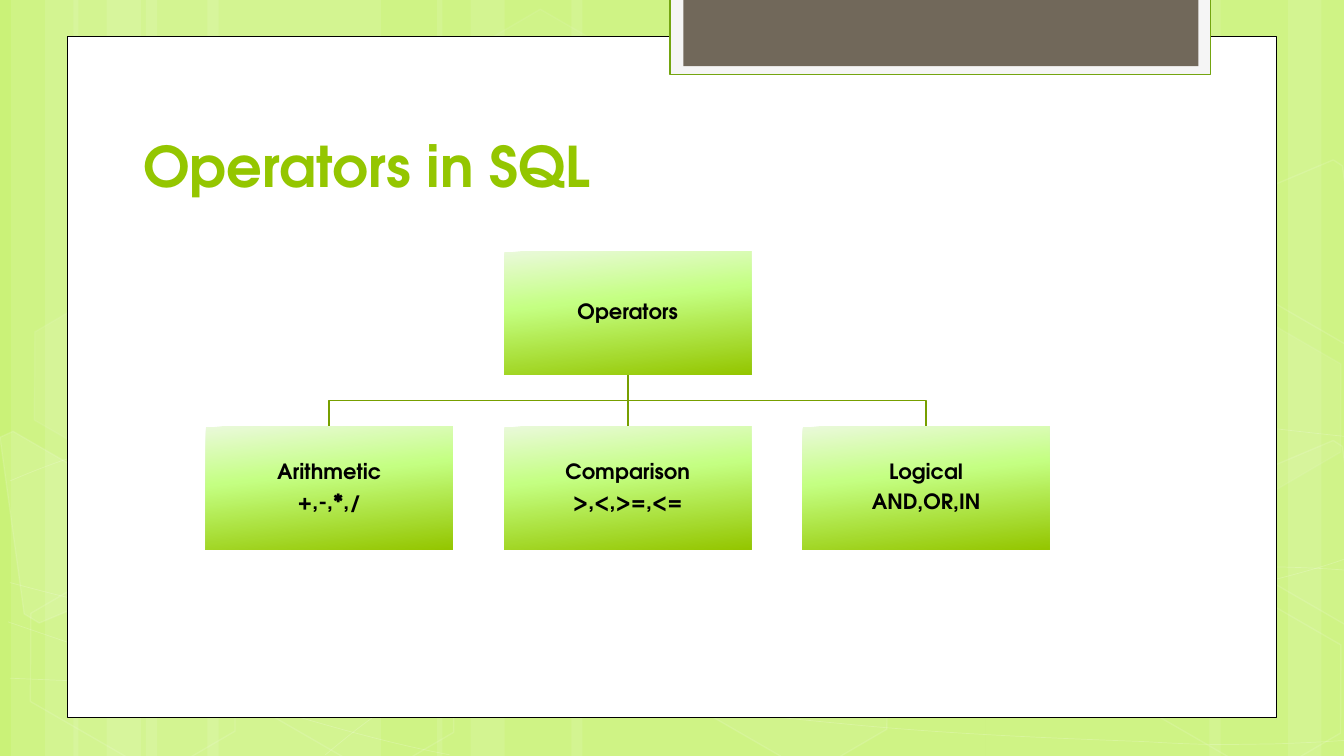
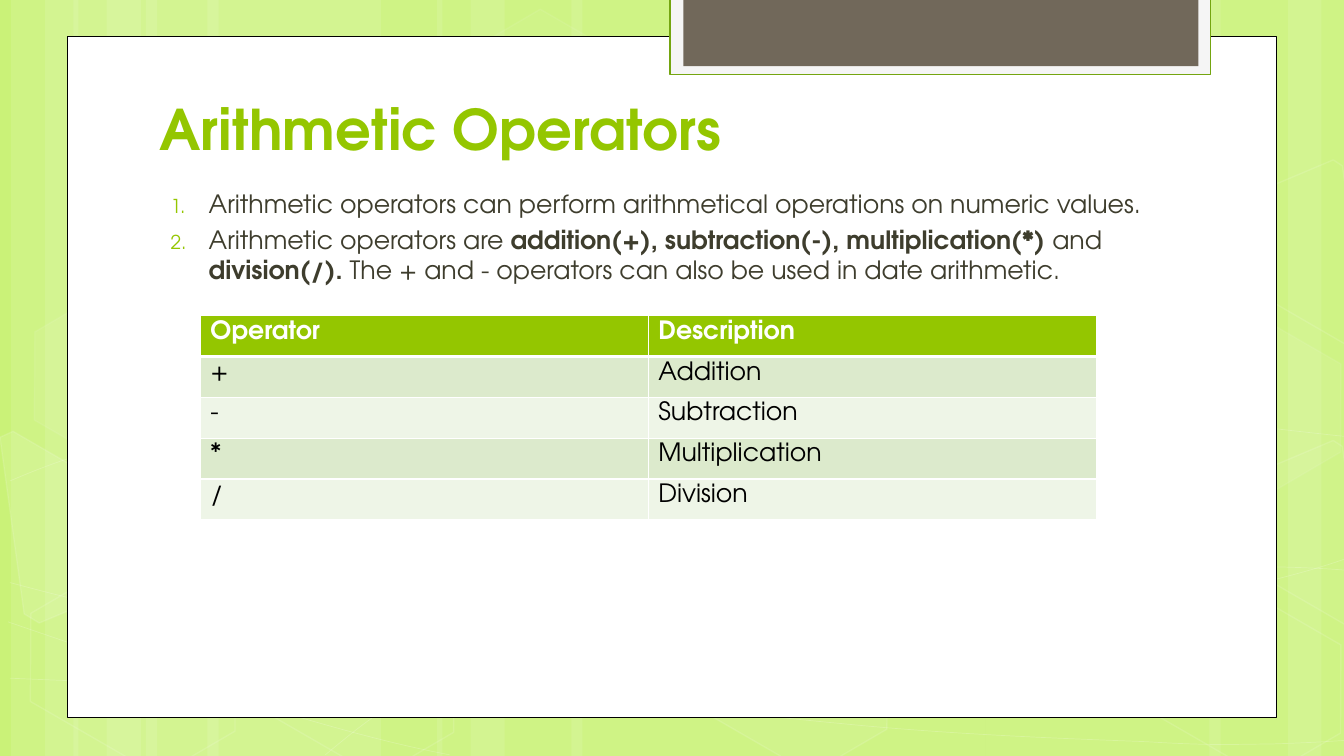
from pptx import Presentation
from pptx.dml.color import RGBColor
from pptx.enum.shapes import MSO_CONNECTOR as Connector, MSO_SHAPE as Preset
from pptx.enum.text import MSO_ANCHOR as Anchor, MSO_AUTO_SIZE as AutoSize, PP_ALIGN as Align
from pptx.oxml import parse_xml
from pptx.oxml.ns import nsdecls, qn
from pptx.util import Cm, Pt
from lxml.etree import SubElement

SLIDE_W, SLIDE_H = 33.87, 19.05
LIME, OLIVE, WHITE, BLACK = "94C600", "779F00", "FFFFFF", "000000"
GRADIENT = [(0, "EAF9DA"), (40, "C4FF82"), (100, LIME)]


def rgb(value):
    """Turn a hex string into a colour."""
    return RGBColor.from_string(value)


def fade(parent, opacity):
    """Set the opacity, in percent, of the colours below an XML element."""
    for color in parent.iter(qn("a:srgbClr")):
        SubElement(color, qn("a:alpha")).set("val", str(opacity * 1000))


def bend_lines(shape):
    """Turn each three line segments of an outline into one cubic curve."""
    lines = shape.element.xpath(".//a:lnTo")
    for first in range(0, len(lines), 3):
        curve = parse_xml(f'<a:cubicBezTo {nsdecls("a")}/>')
        lines[first].addprevious(curve)
        for line in lines[first:first + 3]:
            curve.append(line[0])
            line.getparent().remove(line)


class Deck:
    """Holds the style and the current slide."""

    font = "TeX Gyre Adventor"

    def __init__(self):
        """Start a widescreen presentation."""
        self.prs = Presentation()
        self.prs.slide_width, self.prs.slide_height = Cm(SLIDE_W), Cm(SLIDE_H)
        self.layout = self.prs.slide_layouts.get_by_name("Title Only")
        self.slide = None

    def add_slide(self, title, x, y, w, h):
        """Add a slide and place its title."""
        self.slide = self.prs.slides.add_slide(self.layout)
        heading = self.slide.shapes.title
        heading.left, heading.top, heading.width, heading.height = map(Cm, (x, y, w, h))
        frame = heading.text_frame
        frame.text = title
        frame.auto_size = AutoSize.NONE
        frame.vertical_anchor = Anchor.BOTTOM
        frame.paragraphs[0].alignment = Align.LEFT
        self.style(frame.paragraphs[0], 40, LIME, True)

    def style(self, paragraph, size, color, bold=False):
        """Format every run of a paragraph."""
        for run in paragraph.runs:
            run.font.name, run.font.size, run.font.bold = self.font, Pt(size), bold
            run.font.color.rgb = rgb(color)

    def paint(self, shape, fill=None, line=None, width=1, fill_alpha=100, line_alpha=100):
        """Set fill, outline and opacity, and drop the shadow."""
        shape.shadow.inherit = False
        properties = shape.element.spPr
        if fill:
            shape.fill.solid()
            shape.fill.fore_color.rgb = rgb(fill)
            if fill_alpha < 100:
                fade(properties.find(qn("a:solidFill")), fill_alpha)
        else:
            shape.fill.background()
        if line:
            shape.line.color.rgb = rgb(line)
            shape.line.width = Pt(width)
            if line_alpha < 100:
                fade(properties.find(qn("a:ln")), line_alpha)
        else:
            shape.line.fill.background()

    def preset(self, kind, x, y, w, h, **look):
        """Add a painted preset shape."""
        shape = self.slide.shapes.add_shape(kind, Cm(x), Cm(y), Cm(w), Cm(h))
        self.paint(shape, **look)
        return shape

    def outline(self, points, close=False, **look):
        """Add a painted outline through the points."""
        start, *rest = [(Cm(x), Cm(y)) for x, y in points]
        builder = self.slide.shapes.build_freeform(*start, scale=1.0)
        builder.add_line_segments(rest, close=close)
        shape = builder.convert_to_shape()
        self.paint(shape, **look)
        return shape

    def line(self, x1, y1, x2, y2):
        """Add a straight connector."""
        link = self.slide.shapes.add_connector(
            Connector.STRAIGHT, Cm(x1), Cm(y1), Cm(x2), Cm(y2))
        link.line.color.rgb = rgb(OLIVE)
        link.line.width = Pt(1.25)
        SubElement(link.element.spPr, qn("a:effectLst"))

    def node(self, text, x, y, w, h):
        """Add a gradient box with centred text."""
        box = self.preset(Preset.RECTANGLE, x, y, w, h)
        properties = box.element.spPr
        stops = "".join(f'<a:gs pos="{pos * 1000}"><a:srgbClr val="{color}"/></a:gs>'
                        for pos, color in GRADIENT)
        properties.replace(properties.find(qn("a:noFill")), parse_xml(
            f'<a:gradFill {nsdecls("a")}><a:gsLst>{stops}</a:gsLst>'
            f'<a:lin ang="{84 * 60000}" scaled="0"/></a:gradFill>'))
        frame = box.text_frame
        frame.text = text
        frame.word_wrap = True
        frame.vertical_anchor = Anchor.MIDDLE
        frame.margin_left = frame.margin_right = Cm(0.03)
        frame.margin_top = frame.margin_bottom = Cm(0.03)
        for paragraph in frame.paragraphs:
            paragraph.alignment = Align.CENTER
            paragraph.line_spacing = 0.9
            paragraph.space_after = Pt(5.25)
            self.style(paragraph, 15, BLACK, True)

    def numbered(self, items, x, y, w, h):
        """Add a numbered list; each item is a list of (text, bold) parts."""
        frame = self.slide.shapes.add_textbox(Cm(x), Cm(y), Cm(w), Cm(h)).text_frame
        frame.word_wrap = True
        for index, parts in enumerate(items):
            paragraph = frame.add_paragraph() if index else frame.paragraphs[0]
            for text, bold in parts:
                run = paragraph.add_run()
                run.text = text
            self.style(paragraph, 18, "3E3D2D")
            for run, (text, bold) in zip(paragraph.runs, parts):
                run.font.bold = bold
            paragraph.space_before = Pt(3.6)
            properties = paragraph._p.get_or_add_pPr()
            properties.set("marL", str(Cm(1.14)))
            properties.set("indent", str(Cm(-0.96)))
            color = SubElement(properties, qn("a:buClr"))
            SubElement(color, qn("a:srgbClr")).set("val", LIME)
            SubElement(properties, qn("a:buSzPct")).set("val", "76000")
            SubElement(properties, qn("a:buAutoNum")).set("type", "arabicPeriod")

    def border(self, cell, heavy_bottom):
        """Draw white borders around a cell."""
        properties = cell._tc.get_or_add_tcPr()
        for side in "LRTB":
            width = Pt(3 if heavy_bottom and side == "B" else 1)
            properties.append(parse_xml(
                f'<a:ln{side} {nsdecls("a")} w="{width}"><a:solidFill>'
                f'<a:srgbClr val="{WHITE}"/></a:solidFill></a:ln{side}>'))

    def table(self, rows, x, y, col_w, row_h):
        """Add a table with a lime header and banded rows."""
        columns = len(rows[0])
        grid = self.slide.shapes.add_table(
            len(rows), columns, Cm(x), Cm(y), Cm(col_w * columns), Cm(row_h * len(rows))).table
        for r, row in enumerate(rows):
            header = r == 0
            band = LIME if header else ("EEF5E7", "DCEACC")[r % 2]
            for c, text in enumerate(row):
                cell = grid.cell(r, c)
                cell.text_frame.text = text
                self.border(cell, header)
                cell.fill.solid()
                cell.fill.fore_color.rgb = rgb(band)
                self.style(cell.text_frame.paragraphs[0], 18, WHITE if header else BLACK, header)

    def backdrop(self):
        """Draw the shared scenery and move it to the layout."""
        fill = self.layout.background.fill
        fill.solid()
        fill.fore_color.rgb = rgb("CAF278")
        for x, w in BANDS:
            self.preset(Preset.RECTANGLE, x, 0, w, SLIDE_H, fill=WHITE, fill_alpha=10)
        for points in CURVES:
            bend_lines(self.outline(points, line=WHITE, width=0.5, line_alpha=20))
        for x, y, inside, edge in HEXAGONS:
            hexagon = self.preset(Preset.HEXAGON, x, y, 5.94, 3.86, fill=WHITE if inside else None,
                                  fill_alpha=inside, line=WHITE, line_alpha=edge)
            hexagon.adjustments[0] = 0.285
            hexagon.rotation = 30
        for points, inside in CUT_HEXAGONS:
            self.outline(points, close=True, fill=WHITE if inside else None,
                         fill_alpha=inside, line=WHITE, line_alpha=12)
        self.preset(Preset.RECTANGLE, 1.69, 0.92, 30.48, 17.17, fill=WHITE, line=BLACK, width=0.5)
        self.preset(Preset.RECTANGLE, 16.89, -0.05, 13.62, 1.93,
                    fill="F5F5F5", line="74A510", width=1.25)
        self.preset(Preset.RECTANGLE, 17.22, -0.05, 12.98, 1.72, fill="71685A")
        scenery = [s.element for s in self.slide.shapes if not s.is_placeholder]
        for index, element in enumerate(scenery):
            element.xpath(".//p:cNvPr")[0].set("id", str(100 + index))
            self.layout.shapes.element.insert(2 + index, element)


BANDS = [(3.68, 5.92), (0.28, 1.7), (1.14, 2.82), (5.23, 5.92), (1.85, 1.7), (2.69, 2.82),
         (24.84, 5.92), (32.46, 1.41), (30.48, 2.82), (14.4, 10.44), (11.02, 1.7), (11.86, 2.82)]
CURVES = [
    [(0.25, 17.09),
     (2.08, 17.17), (3.91, 17.25), (6.45, 17.22),
     (8.99, 17.2), (12.12, 17.15), (15.49, 16.89),
     (18.9, 16.64), (23.7, 16.15), (26.8, 15.67),
     (29.92, 15.19), (33.1, 14.43), (34.11, 14)],
    [(0.25, 12.12),
     (1.22, 11.71), (2.18, 11.33), (4.11, 10.95),
     (6.05, 10.57), (8.76, 10.01), (11.76, 9.83),
     (14.78, 9.65), (18.42, 9.63), (22.15, 9.83),
     (25.88, 10.03), (32.08, 10.82), (34.11, 11.02)],
    [(0.2, 15.67),
     (4.29, 17.07), (8.38, 18.47), (11.33, 19.02)],
    [(0.25, 14.68),
     (1.3, 14.96), (2.36, 15.24), (4.34, 15.65),
     (6.3, 16.03), (9.25, 16.66), (12.07, 17.09),
     (14.88, 17.53), (18.47, 17.98), (21.26, 18.24),
     (24.08, 18.52), (27.08, 18.62), (28.88, 18.69),
     (30.66, 18.8), (31.12, 18.75), (32, 18.75),
     (32.87, 18.72), (33.5, 18.69), (34.11, 18.64)],
    [(8.2, 19.02),
     (8.81, 18.52), (9.4, 18.01), (10.24, 17.55),
     (11.05, 17.09), (12.19, 16.59), (13.13, 16.23),
     (14.07, 15.88), (14.66, 15.72), (15.9, 15.47),
     (17.15, 15.21), (19.43, 14.86), (20.6, 14.68),
     (21.79, 14.5), (21.97, 14.5), (23.04, 14.45),
     (24.08, 14.38), (25.73, 14.3), (26.9, 14.27),
     (28.07, 14.25), (30.02, 14.27), (30.02, 14.27),
     (31.4, 14.27), (32.8, 14.27), (34.06, 14.38)],
]
HEXAGONS = [(11.3, 0.91, 4, 8), (16.81, 14.96, 6, 12), (0.38, 15.01, 0, 12), (0.48, 7.92, 7, 8),
            (5.89, 15.04, 0, 12), (28.24, 15.06, 0, 12), (28.24, 7.98, 7, 8)]
LEFT_CUT = [(0, 11.02), (0.33, 10.87), (2.92, 12.37), (3.23, 14.76), (0.99, 15.7), (0.61, 15.47)]
RIGHT_CUT = [(31.37, 12.04), (33.6, 11.1), (33.83, 11.25), (34.47, 15.88), (34.26, 15.95),
             (31.67, 14.45)]
CUT_HEXAGONS = [(LEFT_CUT, 10), (RIGHT_CUT, 4), ([(x, y - 7.07) for x, y in RIGHT_CUT], 0)]

deck = Deck()

deck.add_slide("Operators in SQL", 3.35, 2.84, 26.52, 2.29)
deck.backdrop()
NODE_W, NODE_H, PITCH = 6.22, 3.1, 7.52
ROOT_X, ROOT_Y, KIND_Y = 12.71, 6.34, 10.75
root_mid, root_bottom = ROOT_X + NODE_W / 2, ROOT_Y + NODE_H
bend = (root_bottom + KIND_Y) / 2
kinds = ["Arithmetic\n+,-,*,/", "Comparison\n>,<,>=,<=", "Logical\nAND,OR,IN"]
for side in (-1, 1):
    kind_mid = root_mid + side * PITCH
    deck.outline([(root_mid, root_bottom), (root_mid, bend), (kind_mid, bend), (kind_mid, KIND_Y)],
                 line=OLIVE, width=1.25)
deck.line(root_mid, root_bottom, root_mid, KIND_Y)
deck.node("Operators", ROOT_X, ROOT_Y, NODE_W, NODE_H)
for column, kind in enumerate(kinds, start=-1):
    deck.node(kind, ROOT_X + column * PITCH, KIND_Y, NODE_W, NODE_H)

deck.add_slide("Arithmetic Operators", 3.76, 2.03, 26.01, 2.16)
deck.numbered([
    [("Arithmetic operators can perform arithmetical operations on numeric values.", False)],
    [("Arithmetic operators are ", False),
     ("addition(+), subtraction(-), multiplication(*) ", True),
     ("and ", False),
     ("division(/). ", True),
     ("The + and - operators can also be used in date arithmetic.", False)],
], 3.87, 4.63, 26.19, 11.58)
deck.table([("Operator", "Description"), ("+", "Addition"), ("-", "Subtraction"),
            ("*", "Multiplication"), ("/", "Division")], 5.05, 7.95, 11.29, 1.03)

deck.prs.save("out.pptx")
